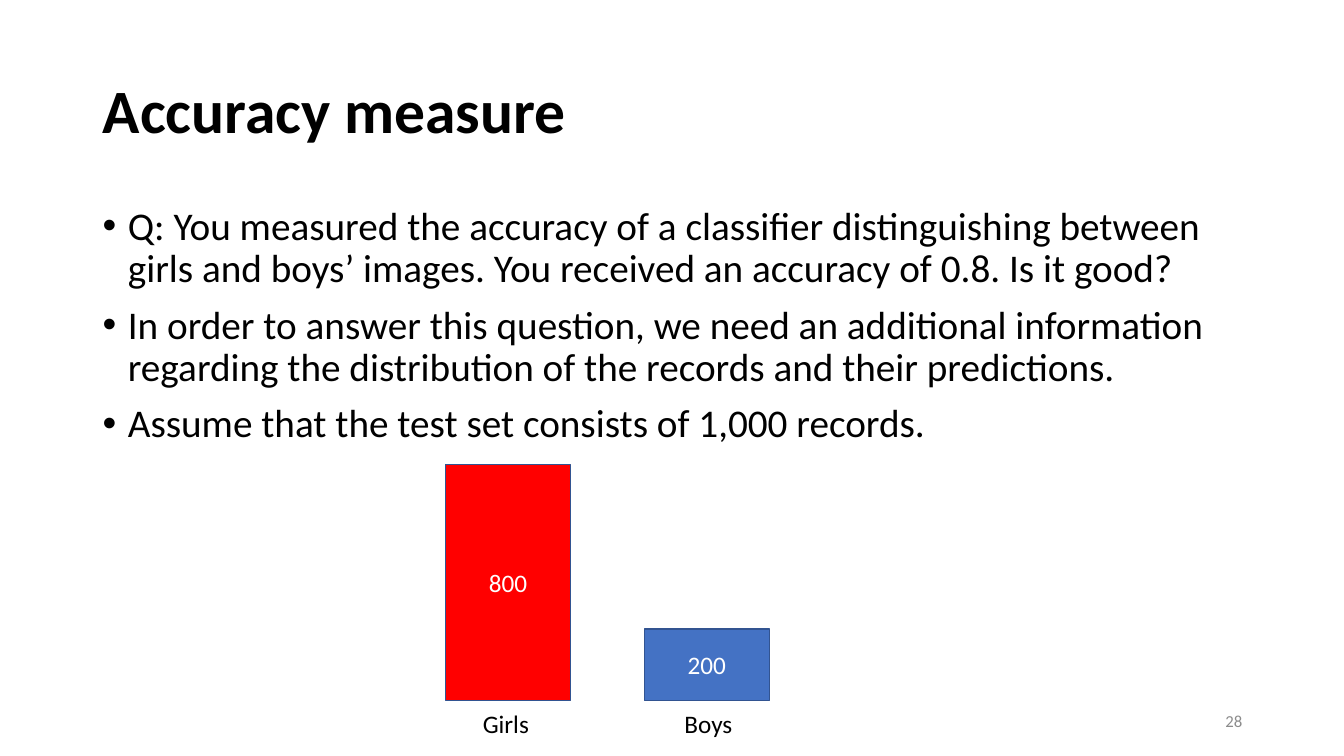
import pptx
import pptx.util
import pptx.dml.color
import pptx.enum.shapes
import pptx.enum.text
import pptx.oxml.ns
import lxml.etree

Inches, Pt = pptx.util.Inches, pptx.util.Pt
Align = pptx.enum.text.PP_ALIGN
Anchor = pptx.enum.text.MSO_ANCHOR


def color(code):
    return pptx.dml.color.RGBColor.from_string(code)


def write(shape, lines, size, code, align=Align.LEFT, anchor=Anchor.TOP):
    """Fill a shape with paragraphs in one style."""
    frame = shape.text_frame
    frame.text = "\n".join(lines)
    frame.word_wrap = True
    frame.auto_size = pptx.enum.text.MSO_AUTO_SIZE.NONE
    frame.vertical_anchor = anchor
    for para in frame.paragraphs:
        para.alignment = align
        para.font.name = "Calibri"
        para.font.size = Pt(size)
        para.font.color.rgb = color(code)
    return frame.paragraphs


deck = pptx.Presentation()
deck.slide_width, deck.slide_height = Inches(13.33), Inches(7.5)
slide = deck.slides.add_slide(deck.slide_layouts[5])
shapes = slide.shapes

# Title
title = shapes.title
title.left, title.top = Inches(0.92), Inches(0.4)
title.width, title.height = Inches(11.5), Inches(1.45)
head = write(title, ["Accuracy measure"], 44, "000000", anchor=Anchor.MIDDLE)[0]
head.font.bold = True
head.line_spacing = 0.9

# Bulleted text
points = [
    "Q: You measured the accuracy of a classifier distinguishing between "
    "girls and boys’ images. You received an accuracy of 0.8. Is it good?",
    "In order to answer this question, we need an additional information "
    "regarding the distribution of the records and their predictions.",
    "Assume that the test set consists of 1,000 records.",
]
body = shapes.add_textbox(Inches(0.92), Inches(2), Inches(11.75), Inches(4.76))
for para in write(body, points, 28, "000000"):
    para.line_spacing = 0.9
    para.space_before = Pt(10)
    props = para._p.get_or_add_pPr()
    props.set("marL", str(Inches(0.25)))
    props.set("indent", str(-Inches(0.25)))
    font = lxml.etree.SubElement(props, pptx.oxml.ns.qn("a:buFont"))
    font.set("typeface", "Arial")
    mark = lxml.etree.SubElement(props, pptx.oxml.ns.qn("a:buChar"))
    mark.set("char", "•")
    # Default run style follows the bullet in the schema
    props.append(props.find(pptx.oxml.ns.qn("a:defRPr")))

# Slide number
number = shapes.add_textbox(Inches(9.42), Inches(6.95), Inches(3), Inches(0.4))
write(number, ["28"], 12, "8C8C8C", Align.RIGHT, Anchor.MIDDLE)

# Bars on a shared base, each with its label below
base = 6.95
bars = [
    ("Girls", "800", 4.42, 2.34, "FF0000", 4.69),
    ("Boys", "200", 6.39, 0.71, "4472C4", 6.69),
]
for name, count, left, height, fill, start in bars:
    bar = shapes.add_shape(
        pptx.enum.shapes.MSO_SHAPE.RECTANGLE,
        Inches(left), Inches(base - height), Inches(1.24), Inches(height))
    bar.shadow.inherit = False
    bar.fill.solid()
    bar.fill.fore_color.rgb = color(fill)
    bar.line.color.rgb = color("325491")
    bar.line.width = Pt(1)
    write(bar, [count], 18, "FFFFFF", Align.CENTER, Anchor.MIDDLE)
    label = shapes.add_textbox(
        Inches(start), Inches(6.98), Inches(0.85), Inches(0.4))
    write(label, [name], 18, "000000")

deck.save("out.pptx")
